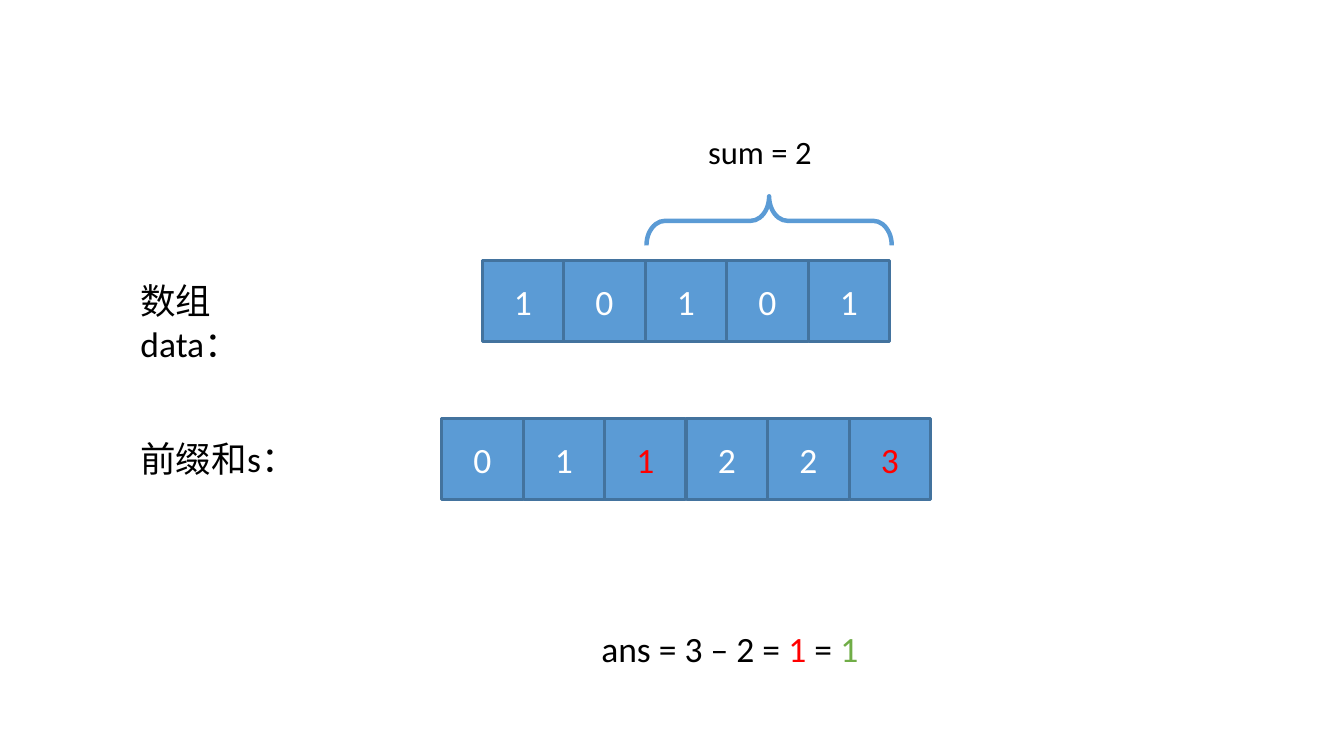
from dataclasses import dataclass

from pptx import Presentation
from pptx.dml.color import RGBColor
from pptx.enum.shapes import MSO_SHAPE
from pptx.enum.text import MSO_ANCHOR, MSO_AUTO_SIZE, PP_ALIGN
from pptx.util import Inches, Pt

RECT = MSO_SHAPE.RECTANGLE
BRACE = MSO_SHAPE.RIGHT_BRACE
MIDDLE = MSO_ANCHOR.MIDDLE
CENTER = PP_ALIGN.CENTER
GROW = MSO_AUTO_SIZE.SHAPE_TO_FIT_TEXT
BLANK_LAYOUT = 6
CM_PER_INCH = 2.54
CELL = 1.91 / 5


@dataclass(frozen=True)
class Theme:
    """Fonts, type sizes and colours of the slide."""
    font: str = "Calibri"
    body: float = 12
    small: float = 11
    text: str = "000000"
    cell_text: str = "FFFFFF"
    cell_fill: str = "5B9BD5"
    cell_line: str = "43739E"
    marked: str = "FF0000"
    answer: str = "70AD47"


THEME = Theme()


def add_run(p, text, color, size=THEME.body):
    """Append one formatted run to a paragraph."""
    r = p.add_run()
    r.text = text
    r.font.name = THEME.font
    r.font.size = Pt(size)
    r.font.color.rgb = RGBColor.from_string(color)


def add_label(slide, left, top, width, height, runs, size=THEME.body):
    """Add a wrapping text box made of (text, colour) runs."""
    sp = slide.shapes.add_textbox(Inches(left), Inches(top), Inches(width), Inches(height))
    tf = sp.text_frame
    tf.word_wrap = True
    tf.auto_size = GROW
    for text, color in runs:
        add_run(tf.paragraphs[0], text, color, size)


def add_cell(slide, left, top, value, color):
    """Add one square array cell with its value centred."""
    sp = slide.shapes.add_shape(RECT, Inches(left), Inches(top), Inches(CELL), Inches(CELL))
    sp.shadow.inherit = False
    sp.fill.solid()
    sp.fill.fore_color.rgb = RGBColor.from_string(THEME.cell_fill)
    sp.line.color.rgb = RGBColor.from_string(THEME.cell_line)
    sp.line.width = Pt(1)
    tf = sp.text_frame
    tf.vertical_anchor = MIDDLE
    p = tf.paragraphs[0]
    p.alignment = CENTER
    add_run(p, value, color)


def add_array(slide, left, top, values, marked=()):
    """Add a row of touching cells, colouring the values at the marked indexes."""
    for i, value in enumerate(values):
        color = THEME.marked if i in marked else THEME.cell_text
        add_cell(slide, left + i * CELL, top, str(value), color)


def add_brace(slide, left, top, width, height):
    """Add an upward-pointing brace, a right brace turned by 270 degrees."""
    sp = slide.shapes.add_shape(BRACE, Inches(left), Inches(top), Inches(width), Inches(height))
    sp.rotation = 270
    sp.adjustments[0] = 0.377
    sp.adjustments[1] = 0.5
    sp.shadow.inherit = False
    sp.fill.background()
    sp.line.color.rgb = RGBColor.from_string(THEME.cell_fill)
    sp.line.width = Pt(1.5)


def main():
    """Build the prefix-sum slide and save it."""
    prs = Presentation()
    prs.slide_width = Inches(16 / CM_PER_INCH)
    prs.slide_height = Inches(9 / CM_PER_INCH)
    slide = prs.slides.add_slide(prs.slide_layouts[BLANK_LAYOUT])

    add_array(slide, 2.26, 1.22, (1, 0, 1, 0, 1))
    add_array(slide, 2.07, 1.96, (0, 1, 1, 2, 2, 3), marked=(2, 5))

    add_label(slide, 0.56, 1.26, 0.99, 0.3, [("数组data：", THEME.text)])
    add_label(slide, 0.56, 2, 0.99, 0.3, [("前缀和s：", THEME.text)])
    add_label(slide, 2.72, 2.89, 1.65, 0.3, [
        ("ans = 3 – 2 = ", THEME.text), ("1", THEME.marked),
        (" = ", THEME.text), ("1", THEME.answer)])

    add_brace(slide, 3.49, 0.46, 0.23, 1.15)
    add_label(slide, 3.22, 0.57, 0.91, 0.29, [("sum = 2", THEME.text)], THEME.small)

    prs.save("out.pptx")


if __name__ == "__main__":
    main()
